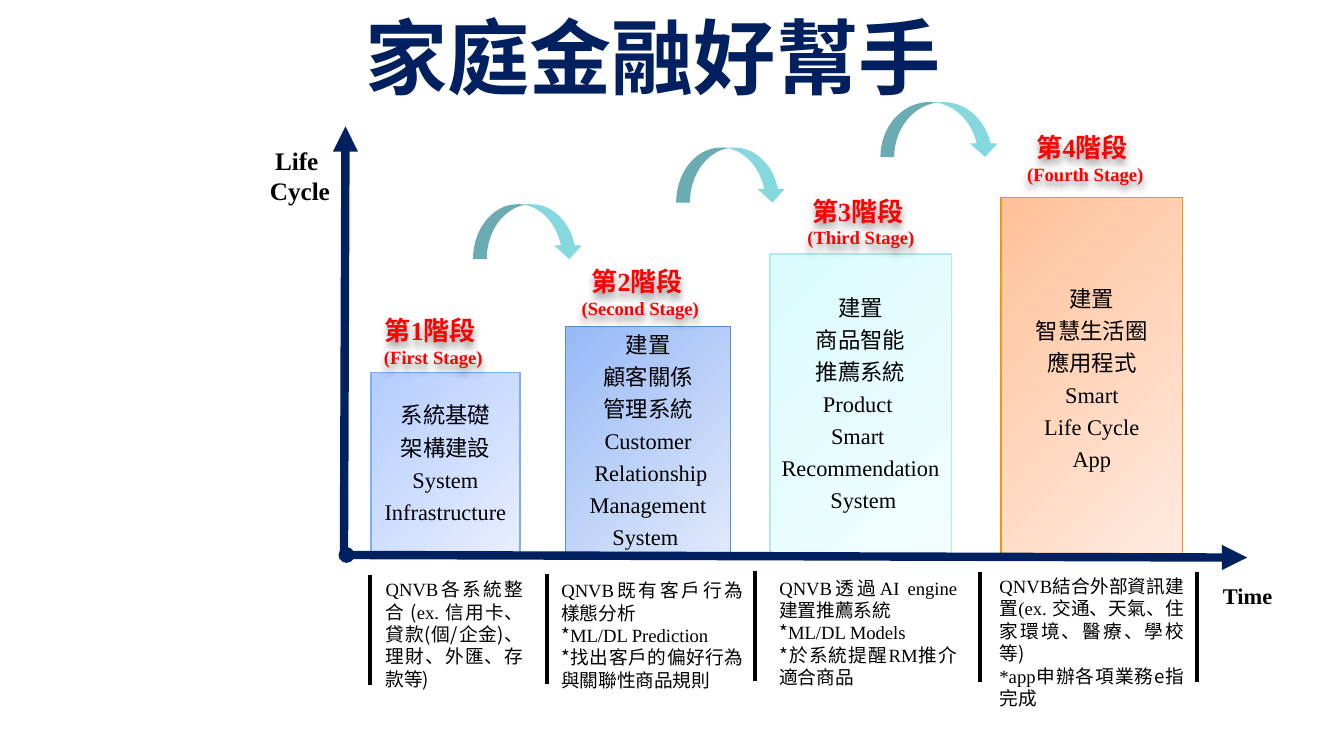
from typing import NamedTuple

from lxml.etree import SubElement
from pptx import Presentation
from pptx.dml.color import RGBColor
from pptx.enum.shapes import MSO_CONNECTOR, MSO_SHAPE
from pptx.enum.text import MSO_ANCHOR, MSO_AUTO_SIZE, PP_ALIGN
from pptx.oxml.ns import qn
from pptx.util import Cm, Pt

NAVY = RGBColor(0x00, 0x20, 0x60)
BLACK = RGBColor(0x00, 0x00, 0x00)
RED = RGBColor(0xFF, 0x00, 0x00)
TEAL = RGBColor(0x85, 0xD8, 0xDE)
CJK_FONT = "Noto Sans CJK SC"
LATIN_FONT = "Times New Roman"


class Box(NamedTuple):
    x: float
    y: float
    w: float
    h: float

    def lengths(self) -> list:
        return [Cm(v) for v in self]


class Stage(NamedTuple):
    number: str
    ordinal: str
    label: Box
    bar: Box
    start: RGBColor
    end: RGBColor
    line: RGBColor
    lines: list
    note: Box
    details: list


STAGES = [
    Stage("1", "First", Box(6.55, 5.82, 3.28, 1.27), Box(7.01, 7.04, 2.82, 3.43),
          RGBColor(0xB4, 0xCD, 0xFF), RGBColor(0xE8, 0xEE, 0xFF), RGBColor(0x7E, 0xAD, 0xFA),
          ["系統基礎", "架構建設", " System ", "Infrastructure"],
          Box(7.04, 10.8, 3.1, 2.39),
          [["QNVB", "各系統整合 (", "ex. ", "信用卡、貸款(個/企金)、理財、外匯、存款等)"]]),
    Stage("2", "Second", Box(10.46, 4.9, 3.28, 1.27), Box(10.69, 6.17, 3.12, 4.32),
          RGBColor(0x98, 0xB9, 0xF6), RGBColor(0xE0, 0xE9, 0xFB), RGBColor(0x55, 0x8E, 0xD5),
          ["建置", "顧客關係", "管理系統", "Customer", " Relationship", "Management", "System "],
          Box(10.36, 10.82, 3.94, 2.39),
          [["QNVB", "既有客戶行為樣態分析"], ["*", "ML/DL Prediction"],
           ["*找出客戶的偏好行為與關聯性商品規則"]]),
    Stage("3", "Third", Box(14.63, 3.56, 3.28, 1.27), Box(14.55, 4.8, 3.43, 5.66),
          RGBColor(0xDA, 0xFB, 0xFD), RGBColor(0xF2, 0xFD, 0xFE), RGBColor(0xB6, 0xE8, 0xEB),
          ["建置", "商品智能", "推薦系統", "Product ", "Smart ", "Recommendation", " System"],
          Box(14.48, 10.77, 3.86, 2.39),
          [["QNVB", "透過", "AI engine", "建置推薦系統"], ["*", "ML/DL Models"],
           ["*於系統提醒", "RM", "推介適合商品"]]),
    Stage("4", "Fourth", Box(18.87, 2.36, 3.28, 1.27), Box(18.92, 3.73, 3.43, 6.86),
          RGBColor(0xFF, 0xC1, 0x98), RGBColor(0xFF, 0xEB, 0xE0), RGBColor(0xF3, 0x96, 0x0D),
          ["建置", "智慧生活圈", "應用程式", "Smart", "Life Cycle", "App"],
          Box(18.64, 10.74, 3.99, 2.82),
          [["QNVB", "結合外部資訊建置", "(ex. ", "交通、天氣、住家環境、醫療、學校等)"],
           ["*app", "申辦各項業務e指完成"]]),
]
DIVIDERS = [(6.99, 10.87), (10.34, 10.85), (14.27, 10.8), (18.52, 10.82), (22.62, 10.82)]
ARROWS = [Box(8.94, 3.86, 2.08, 1.04), Box(12.78, 2.79, 2.08, 1.04), Box(16.64, 1.93, 2.24, 1.04)]


def add_run(p, text: str, size: float, color: RGBColor, bold: bool = False) -> None:
    r = p.add_run()
    r.text = text
    is_cjk = text == "*" or any(ord(ch) > 0x2E80 for ch in text)
    r.font.name = CJK_FONT if is_cjk else LATIN_FONT
    r.font.size = Pt(size)
    r.font.bold = bold
    r.font.color.rgb = color
    SubElement(r._r.get_or_add_rPr(), qn("a:ea")).set("typeface", r.font.name)


def add_paragraphs(tf, rows: list, sizes: list, color: RGBColor, align: PP_ALIGN,
                   bold: bool = False, gap: float = 0) -> None:
    for i, (row, size) in enumerate(zip(rows, sizes)):
        p = tf.add_paragraph() if i else tf.paragraphs[0]
        p.alignment = align
        if i and gap:
            p.space_before = Pt(gap)
        for text in row:
            add_run(p, text, size, color, bold)


def add_text(s, box: Box, rows: list, sizes: list, color: RGBColor = BLACK,
             align: PP_ALIGN = PP_ALIGN.CENTER, bold: bool = True):
    sp = s.shapes.add_textbox(*box.lengths())
    tf = sp.text_frame
    tf.word_wrap = True
    tf.auto_size = MSO_AUTO_SIZE.SHAPE_TO_FIT_TEXT
    add_paragraphs(tf, rows, sizes, color, align, bold)
    return sp


def add_line(s, x1: float, y1: float, x2: float, y2: float, color: RGBColor,
             width: float, arrow: bool = False) -> None:
    c = s.shapes.add_connector(MSO_CONNECTOR.STRAIGHT, Cm(x1), Cm(y1), Cm(x2), Cm(y2))
    c.line.color.rgb = color
    c.line.width = Pt(width)
    if arrow:
        SubElement(c._element.spPr.find(qn("a:ln")), qn("a:tailEnd")).set("type", "triangle")
    SubElement(c._element.spPr, qn("a:effectLst"))


def add_solid(s, kind: MSO_SHAPE, box: Box, color: RGBColor) -> None:
    sp = s.shapes.add_shape(kind, *box.lengths())
    sp.shadow.inherit = False
    sp.fill.solid()
    sp.fill.fore_color.rgb = color
    sp.line.fill.background()


def add_bar(s, stage: Stage) -> None:
    sp = s.shapes.add_shape(MSO_SHAPE.RECTANGLE, *stage.bar.lengths())
    sp.shadow.inherit = False
    sp.fill.gradient()
    sp.fill.gradient_angle = 315
    for stop, color in zip(sp.fill.gradient_stops, (stage.start, stage.end)):
        stop.color.rgb = color
    sp.line.color.rgb = stage.line
    sp.line.width = Pt(0.75)
    tf = sp.text_frame
    tf.word_wrap = True
    tf.vertical_anchor = MSO_ANCHOR.MIDDLE
    tf.margin_left = tf.margin_right = Cm(0.18)
    tf.margin_top = tf.margin_bottom = Cm(0.1)
    rows = [[line] for line in stage.lines]
    add_paragraphs(tf, rows, [12] * len(rows), BLACK, PP_ALIGN.CENTER, gap=2.8)


def add_label(s, stage: Stage) -> None:
    rows = [["第", stage.number, "階段 "], [f"({stage.ordinal} Stage)"]]
    sp = add_text(s, stage.label, rows, [14, 10], RED)
    effects = SubElement(sp._element.spPr, qn("a:effectLst"))
    shadow = SubElement(effects, qn("a:outerShdw"), blurRad="50800", dist="38100", dir="5400000")
    color = SubElement(shadow, qn("a:srgbClr"), val="000000")
    SubElement(color, qn("a:alpha"), val="40000")


def add_title(s) -> None:
    sp = s.shapes.title
    sp.left, sp.top, sp.width, sp.height = Box(3.48, 0.36, 17.73, 1.75).lengths()
    tf = sp.text_frame
    tf.auto_size = MSO_AUTO_SIZE.NONE
    tf.vertical_anchor = MSO_ANCHOR.BOTTOM
    add_paragraphs(tf, [["家庭金融好幫手"]], [44], NAVY, PP_ALIGN.CENTER, True)


def main() -> None:
    prs = Presentation()
    prs.slide_width, prs.slide_height = Cm(25.4), Cm(14.29)
    s = prs.slides.add_slide(prs.slide_layouts[5])
    add_title(s)
    for stage in STAGES:
        add_bar(s, stage)
    add_line(s, 6.48, 10.49, 23.57, 10.54, NAVY, 4.5, arrow=True)
    add_line(s, 6.5, 10.57, 6.53, 2.39, NAVY, 4.5, arrow=True)
    add_solid(s, MSO_SHAPE.OVAL, Box(6.4, 10.34, 0.3, 0.3), NAVY)
    add_text(s, Box(22.83, 10.87, 1.5, 0.76), [["Time"]], [12])
    add_text(s, Box(4.72, 2.62, 1.78, 1.42), [["Life"], [" Cycle"]], [13.5, 13.5])
    for x, y in DIVIDERS:
        add_line(s, x, y, x, y + 2.08, BLACK, 2.25)
    for stage in STAGES:
        add_label(s, stage)
        add_text(s, stage.note, stage.details, [10] * len(stage.details),
                 align=PP_ALIGN.JUSTIFY, bold=False)
    for box in ARROWS:
        add_solid(s, MSO_SHAPE.CURVED_DOWN_ARROW, box, TEAL)
    prs.save("out.pptx")


if __name__ == "__main__":
    main()
